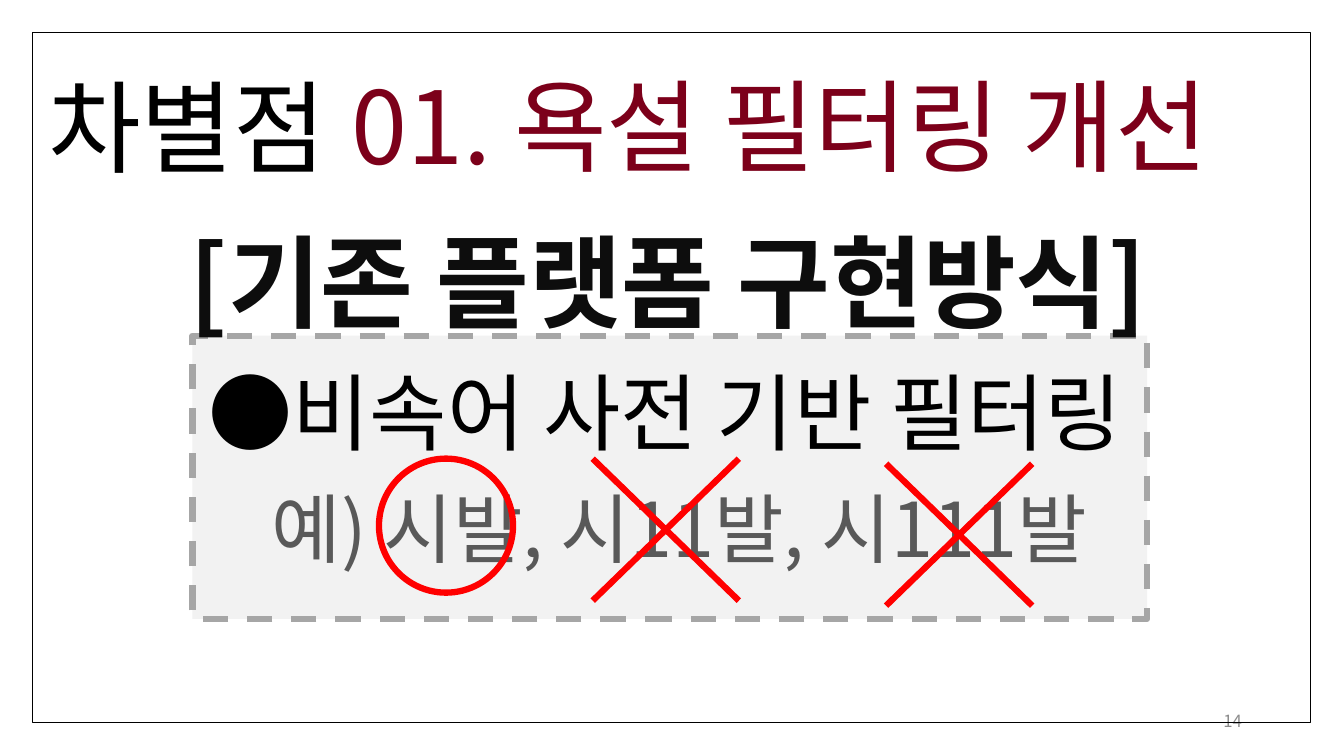
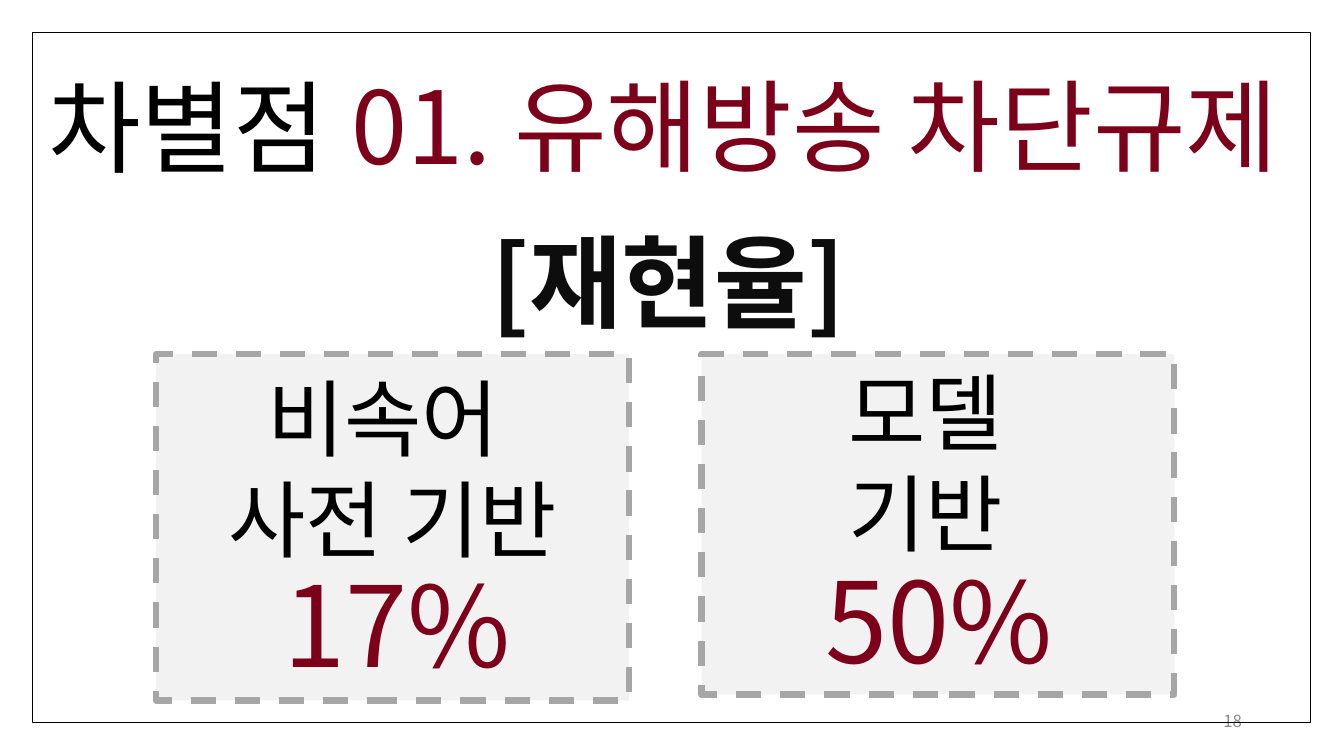
from lxml.etree import SubElement
from pptx import Presentation
from pptx.dml.color import RGBColor
from pptx.enum.dml import MSO_LINE
from pptx.enum.shapes import MSO_SHAPE
from pptx.enum.text import MSO_ANCHOR, MSO_AUTO_SIZE, PP_ALIGN
from pptx.oxml.ns import qn
from pptx.util import Inches, Pt

CELL = Inches(0.1)
COLS, ROWS = 133.33, 75
FONT = "Noto Sans CJK KR"
COLORS = {
    "ink": "000000", "heading": "0D0D0D", "accent": "7C001A",
    "example": "595959", "number": "8C8C8C", "panel": "F2F2F2",
    "dash": "A6A6A6", "mark": "FF0000",
}


def cells(*values):
    return [int(v * CELL) for v in values]


def color(name):
    return RGBColor.from_string(COLORS[name])


def add_outline(r, name, width):
    ln = SubElement(r.font._element, qn("a:ln"), w=str(Pt(width)))
    fill = SubElement(ln, qn("a:solidFill"))
    SubElement(fill, qn("a:srgbClr"), val=COLORS[name])
    r.font._element.insert(0, ln)


def add_text(shapes, at, lines, size, name, align=PP_ALIGN.CENTER, bold=False,
             wrap=True, grow=True):
    sp = shapes.add_textbox(*cells(*at))
    tf = sp.text_frame
    tf.word_wrap = wrap
    tf.auto_size = MSO_AUTO_SIZE.SHAPE_TO_FIT_TEXT if grow else MSO_AUTO_SIZE.NONE
    for i, line in enumerate(lines):
        p = tf.add_paragraph() if i else tf.paragraphs[0]
        p.alignment = align
        r = p.add_run()
        r.text = line
        r.font.size = Pt(size)
        r.font.name = FONT
        r.font.bold = bold
        r.font.color.rgb = color(name)
        SubElement(r.font._element, qn("a:ea"), typeface=FONT)
        if bold:
            add_outline(r, "ink", 1.75)
    return sp


def add_shape(shapes, kind, at, fill=None, line=None, width=1, dash=None):
    sp = shapes.add_shape(kind, *cells(*at))
    sp.shadow.inherit = False
    if fill:
        sp.fill.solid()
        sp.fill.fore_color.rgb = color(fill)
    else:
        sp.fill.background()
    if line:
        sp.line.color.rgb = color(line)
        sp.line.width = Pt(width)
        sp.line.dash_style = dash
    else:
        sp.line.fill.background()
    return sp


def add_panel(shapes, at):
    return add_shape(shapes, MSO_SHAPE.RECTANGLE, at, "panel", "dash", 4.5,
                     MSO_LINE.DASH)


def add_heading(s, text):
    add_text(s.shapes, (6.6, 21.3, 119.4, 13.1), [text], 72, "heading", bold=True)


def add_cross(s, left, top):
    sp = add_shape(s.shapes, MSO_SHAPE.MATH_MULTIPLY, (left, top, 27.9, 27.1), "mark")
    sp.adjustments[0] = 0.023


def add_rate_card(s, panel, label, lines, rate, rate_at):
    group = s.shapes.add_group_shape()
    add_panel(group.shapes, panel)
    add_text(group.shapes, label, lines, 60, "ink")
    add_text(s.shapes, rate_at, [rate], 80, "accent", PP_ALIGN.LEFT, wrap=False)


def add_base(prs, title, number):
    s = prs.slides.add_slide(prs.slide_layouts[6])
    sp = add_text(s.shapes, (94.2, 69.5, 30, 4), [number], 12, "number",
                  PP_ALIGN.RIGHT, grow=False)
    sp.text_frame.vertical_anchor = MSO_ANCHOR.MIDDLE
    add_text(s.shapes, (3.8, 5.9, 35.3, 13.1), ["차별점"], 72, "ink", PP_ALIGN.LEFT)
    add_shape(s.shapes, MSO_SHAPE.RECTANGLE, (3.2, 3.2, 126.8, 68.5), line="ink")
    add_text(s.shapes, (33.9, 5.8, 101.4, 13.1), [title], 72, "accent", PP_ALIGN.LEFT)
    return s


def build_filtering(prs):
    s = add_base(prs, "01. 욕설 필터링 개선", "14")
    add_panel(s.shapes, (19.1, 33.3, 94.7, 28.1))
    add_text(s.shapes, (6.3, 35.3, 119.4, 11.1), ["●비속어 사전 기반 필터링"], 60, "ink")
    add_text(s.shapes, (7.7, 47.3, 119.4, 10.1), ["예) 시발, 시11발, 시111발"], 54, "example")
    add_heading(s, "[기존 플랫폼 구현방식]")
    add_shape(s.shapes, MSO_SHAPE.FLOWCHART_CONNECTOR, (37.6, 45.5, 13.3, 13.3),
              line="mark", width=4.5)
    for left, top in ((52.1, 39), (81.2, 39.5)):
        add_cross(s, left, top)


def build_recall(prs):
    s = add_base(prs, "01. 유해방송 차단규제", "18")
    add_heading(s, "[재현율]")
    add_rate_card(s, (15.5, 35.1, 46.9, 34.4), (3.2, 35.9, 71.5, 21.2),
                  ["비속어 ", "사전 기반"], "17%", (27.1, 54.6, 25.9, 14.5))
    add_rate_card(s, (69.6, 35.1, 46.9, 33.8), (56.1, 35.3, 71.5, 21.2),
                  ["모델", "기반"], "50%", (80.9, 54.2, 25.9, 14.5))


def main():
    prs = Presentation()
    prs.slide_width, prs.slide_height = cells(COLS, ROWS)
    build_filtering(prs)
    build_recall(prs)
    prs.save("out.pptx")


if __name__ == "__main__":
    main()
